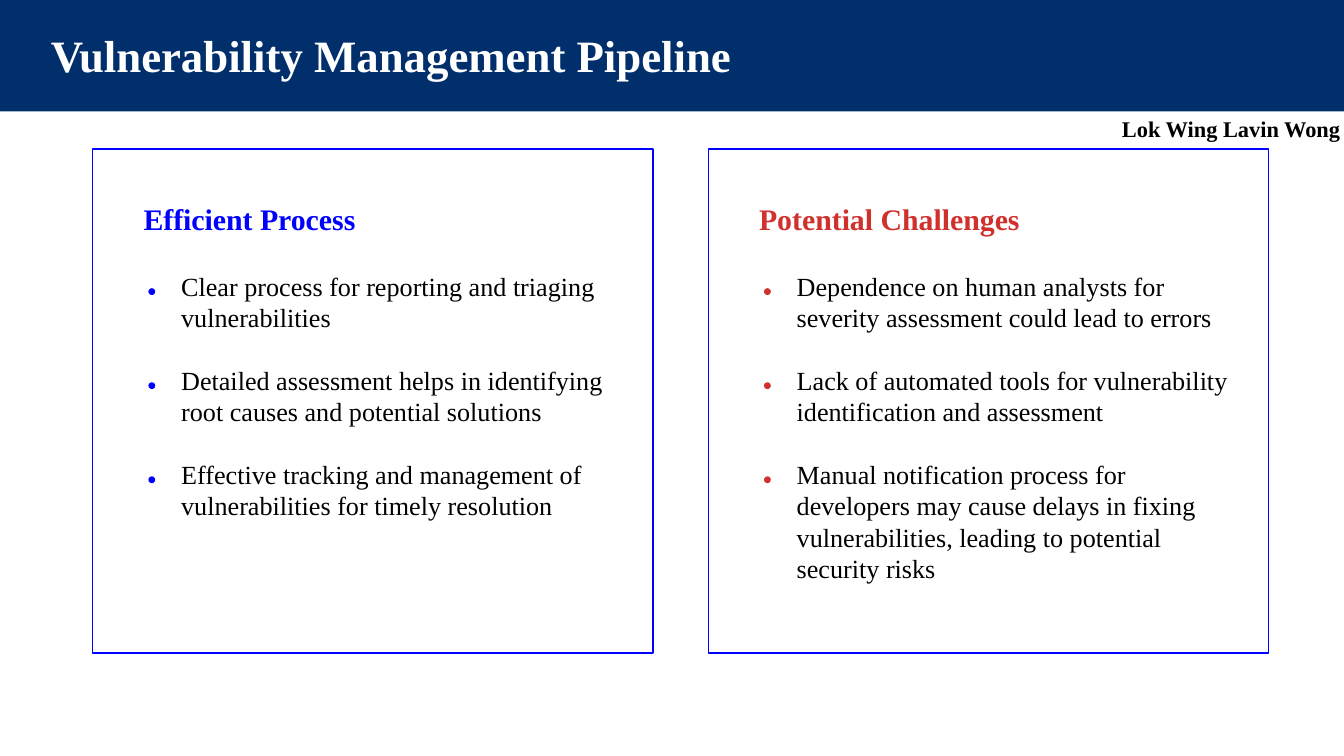
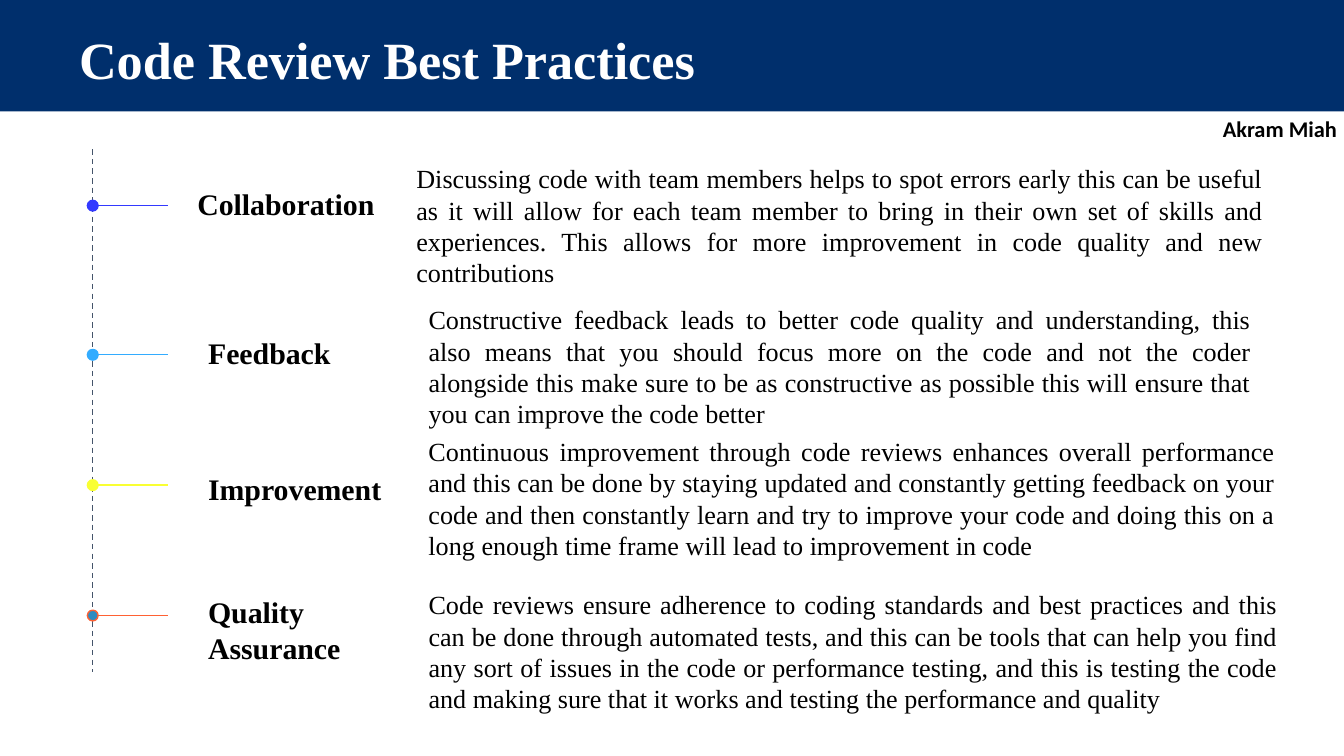
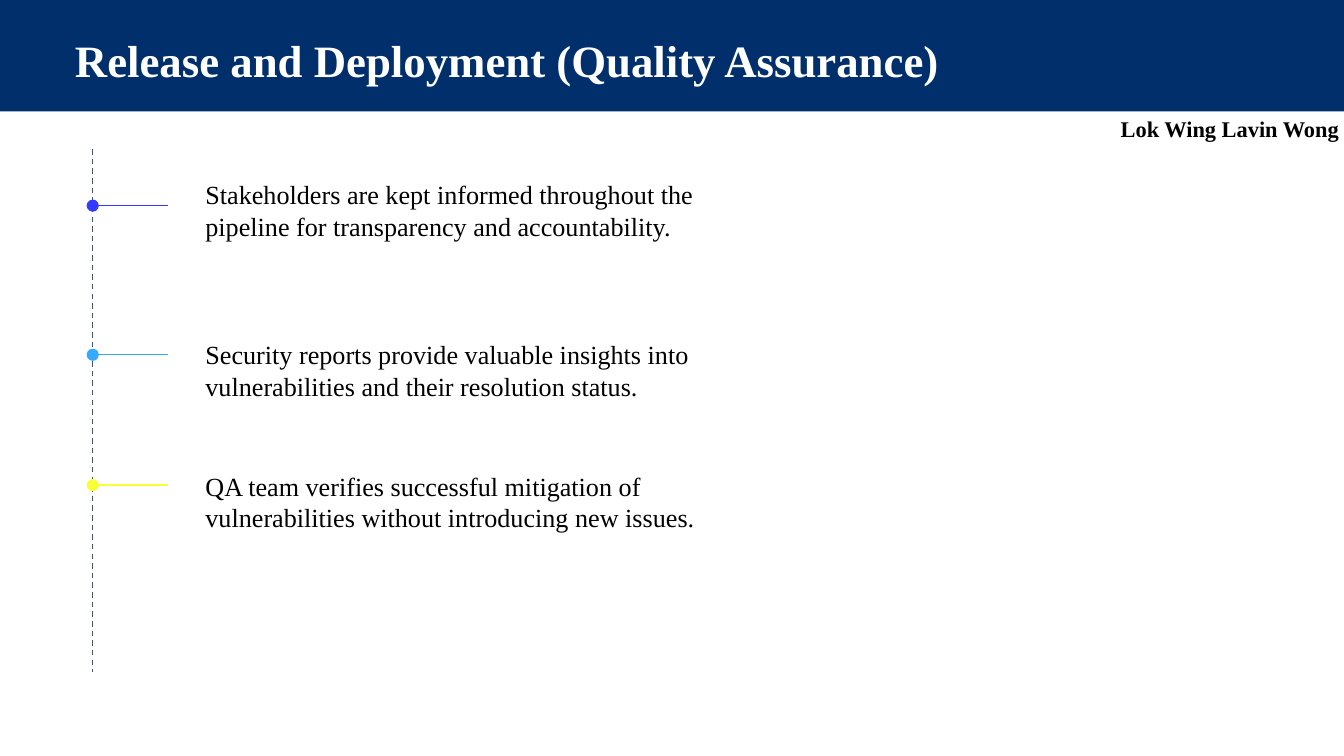
import dataclasses
import typing

import pptx
import pptx.dml.color
import pptx.enum.dml
import pptx.enum.shapes
import pptx.enum.text
import pptx.oxml
import pptx.oxml.ns
import pptx.util

Inches = pptx.util.Inches
Pt = pptx.util.Pt
SHAPE = pptx.enum.shapes.MSO_SHAPE
ALIGN = pptx.enum.text.PP_ALIGN


# Theme: colours, type and line sizes
@dataclasses.dataclass(frozen=True)
class Theme:
    serif: str = "Times New Roman"
    sans: str = "Calibri"
    white: str = "FFFFFF"
    black: str = "000000"
    band: str = "002F6C"
    blue: str = "0000FF"
    red: str = "D0312D"
    axis: str = "44546A"
    steps: tuple[str, ...] = ("3339FF", "33ACFF", "F9FF33", "FF6133")
    last_marker: str = "2E8BC0"
    large_title: int = 28
    title: int = 24
    heading: int = 16
    body: int = 14
    author: int = 12
    line: float = 0.75


THEME = Theme()


# Repeated elements; lengths are in inches
class Box(typing.NamedTuple):
    left: float
    top: float
    width: float
    height: float


@dataclasses.dataclass(frozen=True)
class TextStyle:
    size: int
    color: str = THEME.black
    bold: bool = False
    font: str = THEME.serif
    align: typing.Optional[ALIGN] = None


@dataclasses.dataclass(frozen=True)
class Panel:
    left: float
    heading: str
    color: str
    points: tuple[str, ...]


@dataclasses.dataclass(frozen=True)
class Practice:
    label: str
    label_box: Box
    description: str
    description_box: Box


HEADING = TextStyle(THEME.heading, bold=True)
BODY = TextStyle(THEME.body)
JUSTIFIED = TextStyle(THEME.body, align=ALIGN.JUSTIFY)
AUTHOR = TextStyle(THEME.author, bold=True)

SLIDE_WIDTH = Inches(10)
SLIDE_HEIGHT = SLIDE_WIDTH * 9 // 16
AXIS_X, AXIS_TOP, AXIS_BOTTOM = 0.69, 1.11, 5
BRANCH_END = 1.25
MARKER_SIZE = 0.08
BRANCH_TOPS = (1.53, 2.64, 3.61, 4.58)
POINT_GAP = 0.7
DOT_SIZE = 0.04


# Content
PANELS = (
    Panel(0.69, "Efficient Process", THEME.blue, (
        "Clear process for reporting and triaging vulnerabilities",
        "Detailed assessment helps in identifying root causes and potential solutions",
        "Effective tracking and management of vulnerabilities for timely resolution",
    )),
    Panel(5.27, "Potential Challenges", THEME.red, (
        "Dependence on human analysts for severity assessment could lead to errors",
        "Lack of automated tools for vulnerability identification and assessment",
        "Manual notification process for developers may cause delays in fixing "
        "vulnerabilities, leading to potential security risks",
    )),
)

PRACTICES = (
    Practice(
        "Collaboration", Box(1.37, 1.28, 1.55, 0.5),
        "Discussing code with team members helps to spot errors early this can be useful "
        "as it will allow for each team member to bring in their own set of skills and "
        "experiences. This allows for more improvement in code quality and new contributions",
        Box(3, 1.11, 6.5, 1.02)),
    Practice(
        "Feedback", Box(1.45, 2.39, 1.39, 0.5),
        "Constructive feedback leads to better code quality and understanding, this also "
        "means that you should focus more on the code and not the coder alongside this "
        "make sure to be as constructive as possible this will ensure that you can improve "
        "the code better",
        Box(3.09, 2.16, 6.32, 0.97)),
    Practice(
        "Improvement", Box(1.45, 3.4, 1.55, 0.5),
        "Continuous improvement through code reviews enhances overall performance and this "
        "can be done by staying updated and constantly getting feedback on your code and "
        "then constantly learn and try to improve your code and doing this on a long enough "
        "time frame will lead to improvement in code",
        Box(3.09, 3.14, 6.5, 1.04)),
    Practice(
        "Quality Assurance", Box(1.45, 4.32, 1.39, 0.5),
        "Code reviews ensure adherence to coding standards and best practices and this can "
        "be done through automated tests, and this can be tools that can help you find any "
        "sort of issues in the code or performance testing, and this is testing the code "
        "and making sure that it works and testing the performance and quality",
        Box(3.09, 4.28, 6.52, 1.09)),
)

RELEASE_NOTES = (
    (1.26, "Stakeholders are kept informed throughout the pipeline for transparency "
           "and accountability."),
    (2.45, "Security reports provide valuable insights into vulnerabilities and their "
           "resolution status."),
    (3.43, "QA team verifies successful mitigation of vulnerabilities without "
           "introducing new issues."),
)


# Drawing functions
def rgb(color: str) -> pptx.dml.color.RGBColor:
    return pptx.dml.color.RGBColor.from_string(color)


def apply_format(target: typing.Any, values: dict[str, typing.Any]) -> None:
    for name, value in values.items():
        setattr(target, name, value)


def add_shape(slide, kind: SHAPE, box: Box, fill: str,
              line: typing.Optional[str] = None) -> None:
    shape = slide.shapes.add_shape(kind, *map(Inches, box))
    shape.shadow.inherit = False
    shape.fill.solid()
    shape.fill.fore_color.rgb = rgb(fill)
    if line:
        shape.line.color.rgb = rgb(line)
        shape.line.width = Pt(THEME.line)
    else:
        shape.line.fill.background()


def add_text(slide, text: str, box: Box, style: TextStyle,
             fit_to_text: bool = False) -> None:
    frame = slide.shapes.add_textbox(*map(Inches, box)).text_frame
    auto_size = pptx.enum.text.MSO_AUTO_SIZE
    vertical_margin = Inches(0.05 if fit_to_text else 0.1)
    apply_format(frame, {
        "word_wrap": not fit_to_text,
        "auto_size": auto_size.SHAPE_TO_FIT_TEXT if fit_to_text else auto_size.NONE,
        "margin_left": Inches(0.1),
        "margin_right": Inches(0.1),
        "margin_top": vertical_margin,
        "margin_bottom": vertical_margin,
    })
    paragraph = frame.paragraphs[0]
    paragraph.alignment = style.align
    run = paragraph.add_run()
    run.text = text
    apply_format(run.font, {"name": style.font, "size": Pt(style.size), "bold": style.bold})
    run.font.color.rgb = rgb(style.color)


def add_line(slide, start: tuple[float, float], end: tuple[float, float],
             color: str, dashed: bool = False) -> None:
    connector = slide.shapes.add_connector(
        pptx.enum.shapes.MSO_CONNECTOR.STRAIGHT, *map(Inches, start + end))
    connector.line.color.rgb = rgb(color)
    connector.line.width = Pt(THEME.line)
    if dashed:
        connector.line.dash_style = pptx.enum.dml.MSO_LINE.DASH
    properties = connector._element.spPr
    properties.append(pptx.oxml.parse_xml(
        f"<a:effectLst {pptx.oxml.ns.nsdecls('a')}/>"))


def add_titled_slide(presentation, title: str, title_box: Box, author: str,
                     author_box: Box, title_size: int = THEME.title,
                     author_style: TextStyle = AUTHOR):
    slide = presentation.slides.add_slide(presentation.slide_layouts[6])
    add_shape(slide, SHAPE.RECTANGLE, Box(0, 0, 10, 0.83), THEME.band)
    add_text(slide, title, title_box, TextStyle(title_size, THEME.white, bold=True))
    add_text(slide, author, author_box, author_style, fit_to_text=True)
    return slide


def add_panel(slide, panel: Panel) -> None:
    add_shape(slide, SHAPE.RECTANGLE, Box(panel.left, 1.11, 4.17, 3.75),
              THEME.white, THEME.blue)
    add_text(slide, panel.heading, Box(panel.left + 0.28, 1.39, 3.06, 0.5),
             dataclasses.replace(HEADING, color=panel.color))
    for index, point in enumerate(panel.points):
        top = 1.94 + index * POINT_GAP
        add_shape(slide, SHAPE.OVAL,
                  Box(panel.left + 0.42, top + 0.21, DOT_SIZE, DOT_SIZE),
                  panel.color, panel.color)
        add_text(slide, point, Box(panel.left + 0.56, top, 3.47, 0.14), BODY)


def add_timeline(slide, marker_fills: tuple[str, ...]) -> None:
    add_line(slide, (AXIS_X, AXIS_TOP), (AXIS_X, AXIS_BOTTOM), THEME.axis, dashed=True)
    for top, color, fill in zip(BRANCH_TOPS, THEME.steps, marker_fills):
        add_line(slide, (AXIS_X, top), (BRANCH_END, top), color)
        add_shape(slide, SHAPE.OVAL,
                  Box(AXIS_X - MARKER_SIZE / 2, top - MARKER_SIZE / 2,
                      MARKER_SIZE, MARKER_SIZE),
                  fill, color)


# Slides
def build_pipeline_slide(presentation) -> None:
    slide = add_titled_slide(
        presentation, "Vulnerability Management Pipeline", Box(0.28, 0.11, 8.33, 0.5),
        "Lok Wing Lavin Wong", Box(8.25, 0.81, 1.84, 0.3))
    for panel in PANELS:
        add_panel(slide, panel)


def build_review_slide(presentation) -> None:
    slide = add_titled_slide(
        presentation, "Code Review Best Practices", Box(0.49, 0.1, 9.03, 0.5),
        "Akram Miah", Box(9, 0.81, 1.06, 0.3), title_size=THEME.large_title,
        author_style=dataclasses.replace(AUTHOR, font=THEME.sans))
    add_timeline(slide, THEME.steps[:3] + (THEME.last_marker,))
    for practice in PRACTICES:
        add_text(slide, practice.label, practice.label_box, HEADING)
        add_text(slide, practice.description, practice.description_box, JUSTIFIED)


def build_release_slide(presentation) -> None:
    slide = add_titled_slide(
        presentation, "Release and Deployment (Quality Assurance)",
        Box(0.46, 0.14, 8.33, 0.5),
        "Lok Wing Lavin Wong", Box(8.24, 0.81, 1.84, 0.3))
    add_timeline(slide, THEME.steps[:3])
    for top, note in RELEASE_NOTES:
        add_text(slide, note, Box(1.43, top, 3.89, 0.14), BODY)


def main() -> None:
    presentation = pptx.Presentation()
    apply_format(presentation, {"slide_width": SLIDE_WIDTH, "slide_height": SLIDE_HEIGHT})
    build_pipeline_slide(presentation)
    build_review_slide(presentation)
    build_release_slide(presentation)
    presentation.save("out.pptx")


if __name__ == "__main__":
    main()
